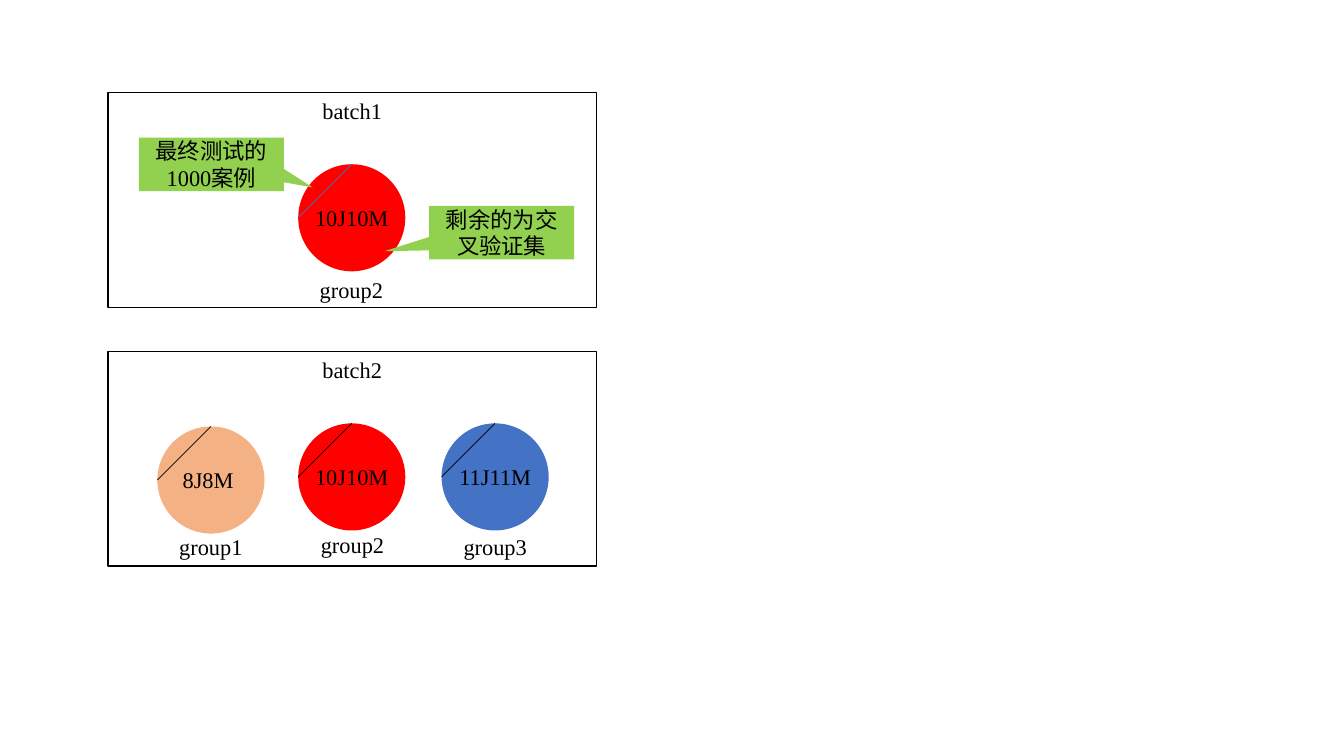
from dataclasses import dataclass

from lxml import etree
from pptx import Presentation
from pptx.dml.color import RGBColor
from pptx.enum.shapes import MSO_CONNECTOR, MSO_SHAPE
from pptx.enum.text import MSO_ANCHOR, PP_ALIGN
from pptx.oxml.ns import qn
from pptx.util import Pt

RECTANGLE = MSO_SHAPE.RECTANGLE
OVAL = MSO_SHAPE.OVAL
CALLOUT = MSO_SHAPE.RECTANGULAR_CALLOUT
STRAIGHT = MSO_CONNECTOR.STRAIGHT
TOP, MIDDLE = MSO_ANCHOR.TOP, MSO_ANCHOR.MIDDLE
CENTER = PP_ALIGN.CENTER


@dataclass(frozen=True)
class Theme:
    ink: RGBColor = RGBColor(0x00, 0x00, 0x00)
    red: RGBColor = RGBColor(0xFF, 0x00, 0x00)
    peach: RGBColor = RGBColor(0xF4, 0xB1, 0x83)
    blue: RGBColor = RGBColor(0x44, 0x72, 0xC4)
    green: RGBColor = RGBColor(0x92, 0xD0, 0x50)
    font: str = "Times New Roman"
    size: int = 16


theme = Theme()


def write(shape, wording, anchor=MIDDLE):
    frame = shape.text_frame
    frame.word_wrap = True
    frame.vertical_anchor = anchor
    paragraph = frame.paragraphs[0]
    paragraph.alignment = CENTER
    run = paragraph.add_run()
    run.text = wording
    run.font.name = theme.font
    run.font.size = Pt(theme.size)
    run.font.color.rgb = theme.ink


def add_filled(slide, kind, left, top, width, height, color):
    shape = slide.shapes.add_shape(kind, Pt(left), Pt(top), Pt(width), Pt(height))
    shape.shadow.inherit = False
    shape.fill.solid()
    shape.fill.fore_color.rgb = color
    shape.line.fill.background()
    return shape


deck = Presentation()
deck.slide_width, deck.slide_height = Pt(960), Pt(540)
slide = deck.slides.add_slide(deck.slide_layouts[6])

for batch_name, batch_top in [("batch1", 66.2), ("batch2", 251)]:
    batch = slide.shapes.add_shape(RECTANGLE, Pt(77.1), Pt(batch_top), Pt(349), Pt(153.4))
    batch.shadow.inherit = False
    batch.fill.background()
    batch.line.color.rgb = theme.ink
    batch.line.width = Pt(1)
    write(batch, batch_name, TOP)

diameter = 76.5
radius = diameter / 2
label_width, label_height = 62.6, 29.5
groups = [
    ("10J10M", "group2", 251, 117.3, 191.8, theme.red, theme.blue),
    ("8J8M ", "group1", 150.6, 304.6, 375.4, theme.peach, theme.ink),
    ("10J10M", "group2", 251.8, 302.4, 373.9, theme.red, theme.ink),
    ("11J11M", "group3", 353.7, 302.4, 375.4, theme.blue, theme.ink),
]
circle_lefts = [213, 112.4, 213, 315.4]

for (cases, group_name, label_center, circle_top, label_top, color, chord_color), circle_left in zip(
    groups, circle_lefts
):
    circle = add_filled(slide, OVAL, circle_left, circle_top, diameter, diameter, color)
    margins = circle.text_frame
    margins.margin_left = margins.margin_right = margins.margin_top = margins.margin_bottom = 0
    write(circle, cases)

    label = slide.shapes.add_textbox(
        Pt(label_center - label_width / 2), Pt(label_top), Pt(label_width), Pt(label_height)
    )
    write(label, group_name)

    chord = slide.shapes.add_connector(
        STRAIGHT,
        Pt(circle_left + radius),
        Pt(circle_top),
        Pt(circle_left),
        Pt(circle_top + radius),
    )
    chord.line.color.rgb = chord_color
    chord.line.width = Pt(0.5)
    etree.SubElement(chord._element.spPr, qn("a:effectLst"))

notes = [
    ("最终测试的1000案例", 99.2, 98.4, 0.7, 0.43),
    ("剩余的为交叉验证集", 306.6, 147, -0.81, 0.35),
]
for wording, note_left, note_top, tip_x, tip_y in notes:
    note = add_filled(slide, CALLOUT, note_left, note_top, 103.5, 38.2, theme.green)
    note.adjustments[0] = tip_x
    note.adjustments[1] = tip_y
    write(note, wording)

deck.save("out.pptx")
